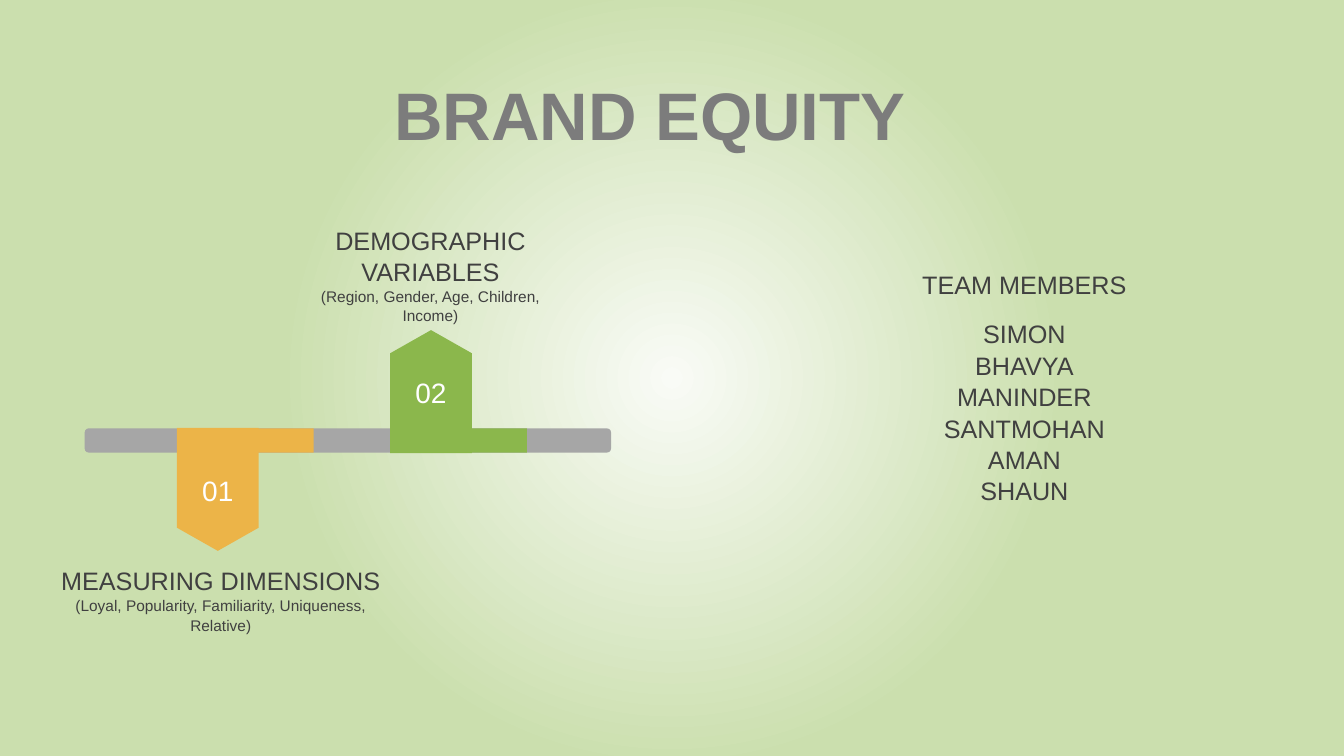
from lxml import etree
from pptx import Presentation
from pptx.dml.color import RGBColor
from pptx.enum.shapes import MSO_SHAPE as Shape
from pptx.enum.text import MSO_ANCHOR as Anchor, PP_ALIGN as Align
from pptx.util import Inches, Pt

DARK = RGBColor(0x40, 0x40, 0x40)
GRAY = RGBColor(0x7C, 0x7C, 0x7C)
BAR = RGBColor(0xA6, 0xA6, 0xA6)
WHITE = RGBColor(0xFF, 0xFF, 0xFF)
GOLD = RGBColor(0xEC, 0xB4, 0x48)
GREEN = RGBColor(0x8B, 0xB7, 0x4C)
PALE = RGBColor(0xF9, 0xFB, 0xF6)
MINT = RGBColor(0xCB, 0xDF, 0xAE)
FONT = "Arial"

# Content
TITLE = "BRAND EQUITY"
# number, colour, tag centre x, tag box top, turn, number top
TAGS = [
    ("01", GOLD, 2.16, 4.45, 90, 4.64),
    ("02", GREEN, 4.275, 3.48, 270, 3.66),
]
# box (left, top, width, height), lines of (text, size)
NOTES = [
    ((0.5, 5.55, 3.38, 1.08),
     [("MEASURING DIMENSIONS", 18),
      ("(Loyal, Popularity, Familiarity, Uniqueness, Relative)", 11)]),
    ((2.85, 2.17, 2.84, 1.08),
     [("DEMOGRAPHIC VARIABLES", 18),
      ("(Region, Gender, Age, Children, Income)", 11)]),
    ((8.74, 2.61, 2.84, 0.4), [("TEAM MEMBERS", 18)]),
    ((8.74, 3.1, 2.84, 1.92),
     [(name, 18) for name in
      ("SIMON", "BHAVYA", "MANINDER", "SANTMOHAN", "AMAN", "SHAUN")]),
]
BAR_TOP, BAR_H = 4.25, 0.24
TAG_L, TAG_W = 1.22, 0.81

prs = Presentation()
prs.slide_width, prs.slide_height = Inches(13.33), Inches(7.5)
slide = prs.slides.add_slide(prs.slide_layouts[6])


def add_back(stops):
    """Fill the background with a round gradient."""
    marks = "".join(f'<a:gs pos="{pos * 1000}"><a:srgbClr val="{color}"/></a:gs>'
                    for pos, color in stops)
    fill = etree.fromstring(
        '<a:gradFill xmlns:a="http://schemas.openxmlformats.org/drawingml/2006/main"'
        f' rotWithShape="1"><a:gsLst>{marks}</a:gsLst><a:path path="circle">'
        '<a:fillToRect l="50000" t="50000" r="50000" b="50000"/></a:path></a:gradFill>')
    slide.background.fill.solid()
    old = slide.element.cSld.bg.bgPr[0]
    old.getparent().replace(old, fill)


def add_form(kind, box, color):
    form = slide.shapes.add_shape(kind, *map(Inches, box))
    form.shadow.inherit = False
    form.fill.solid()
    form.fill.fore_color.rgb = color
    form.line.fill.background()
    return form


def add_text(box, lines, color, bold=False, align=Align.CENTER, space=1.04):
    frame = slide.shapes.add_textbox(*map(Inches, box)).text_frame
    frame.word_wrap = True
    for i, (text, size) in enumerate(lines):
        para = frame.add_paragraph() if i else frame.paragraphs[0]
        para.alignment = align
        para.line_spacing = space
        run = para.add_run()
        run.text = text
        run.font.name, run.font.size = FONT, Pt(size)
        run.font.bold = bold
        run.font.color.rgb = color
    return frame


add_back([(0, PALE), (51, MINT), (100, MINT)])

# Timeline bar
add_form(Shape.ROUNDED_RECTANGLE, (0.84, BAR_TOP, 5.22, BAR_H), BAR)

# Numbered tags, each with a foot along the bar
for num, color, mid, top, turn, num_top in TAGS:
    tag = add_form(Shape.PENTAGON, (mid - TAG_L / 2, top, TAG_L, TAG_W), color)
    tag.adjustments[0] = 0.283
    tag.rotation = turn
    add_form(Shape.RECTANGLE, (mid + 0.4, BAR_TOP, 0.55, BAR_H), color)
    add_text((mid - 0.335, num_top, 0.67, 0.44), [(num, 20)], WHITE)

# Labels and team list
for box, lines in NOTES:
    add_text(box, lines, DARK)

# Title
head = add_text((3.81, 0.69, 5.51, 0.87), [(TITLE, 48)], GRAY, True, Align.LEFT, 1.0)
head.vertical_anchor = Anchor.MIDDLE

prs.save("out.pptx")
